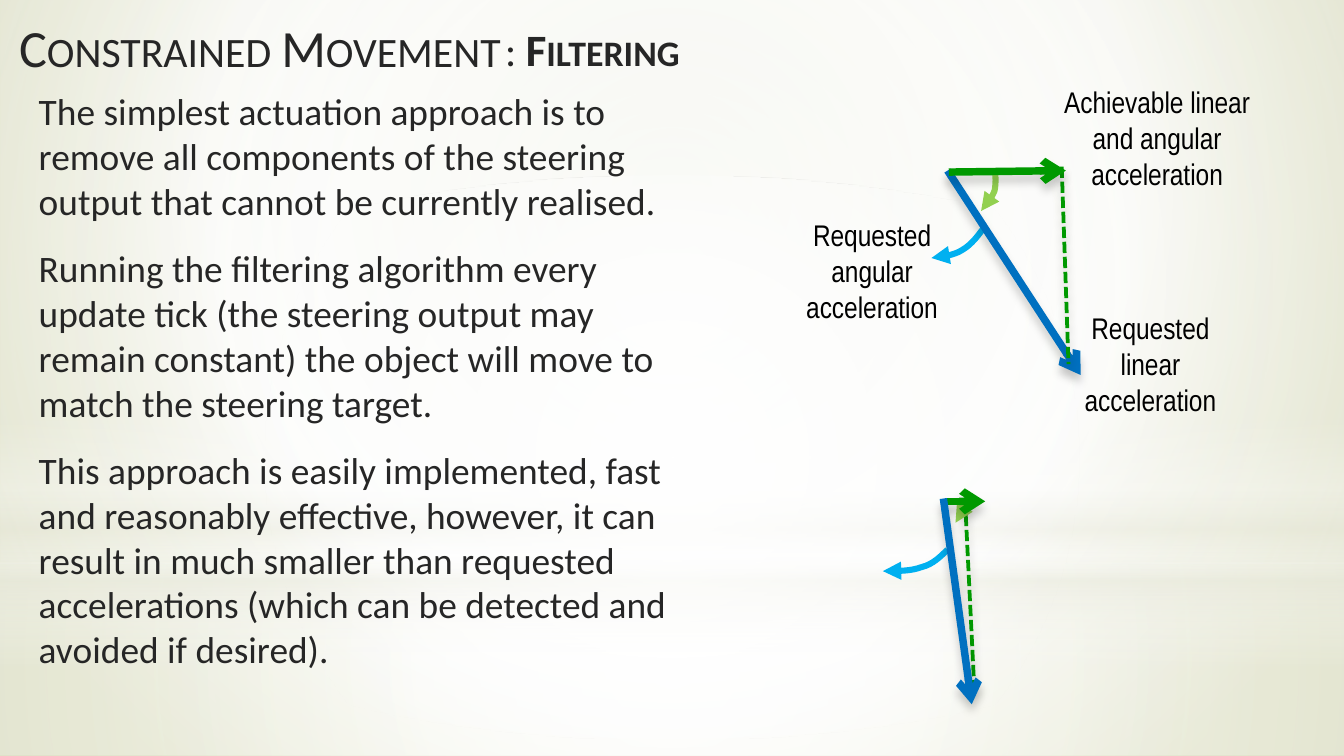
from pptx import Presentation
from pptx.dml.color import RGBColor
from pptx.enum.dml import MSO_LINE
from pptx.enum.shapes import MSO_CONNECTOR, MSO_SHAPE
from pptx.enum.text import MSO_ANCHOR, MSO_AUTO_SIZE, PP_ALIGN
from pptx.oxml import parse_xml
from pptx.oxml.ns import nsdecls, qn
from pptx.util import Pt

colour = RGBColor.from_string
INK, BLUE, SKY, GREEN, LIME = "262626", "0070C0", "00B0F0", "009900", "92D050"


def write(para, text, size=20, font="Calibri", tint=INK, bold=False, caps=False):
    span = para.add_run()
    span.text = text
    span.font.size = Pt(size)
    span.font.name = font
    span.font.bold = bold
    span.font.color.rgb = colour(tint)
    if caps:
        span.font._element.set("cap", "small")


def paint_gradient(properties, stops, focus):
    marks = "".join(
        f'<a:gs pos="{place * 1000}"><a:srgbClr val="{tint}"><a:alpha val="{alpha * 1000}"/></a:srgbClr></a:gs>'
        for place, tint, alpha in stops)
    direction = '<a:lin ang="5400000" scaled="0"/>'
    if focus:
        edges = " ".join(f'{side}="{part * 1000}"' for side, part in zip("ltrb", focus))
        direction = f'<a:path path="circle"><a:fillToRect {edges}/></a:path>'
    gradient = parse_xml(f'<a:gradFill {nsdecls("a")} rotWithShape="1"><a:gsLst>{marks}</a:gsLst>{direction}</a:gradFill>')
    properties.replace(properties.find(qn("a:solidFill")), gradient)


deck = Presentation()
deck.slide_width, deck.slide_height = Pt(720), Pt(405)
page = deck.slides.add_slide(deck.slide_layouts[5])

page.background.fill.solid()
paint_gradient(page.element.find(".//" + qn("p:bgPr")),
               [(0, "E3E5D1", 100), (60, "FFFFFF", 100), (100, "CCD09F", 100)], (20, 10, 20, 60))

centre = (50, 50, 50, 50)
backdrops = [
    (MSO_SHAPE.RECTANGLE, 301.7, 103.3, centre,
     [(0, "FFFFFF", 91), (37, "FFFFFF", 76), (100, "EAEBDE", 79)]),
    (MSO_SHAPE.RECTANGLE, 0, 301.7, centre,
     [(0, "FFFFFF", 89), (48, "FFFFFF", 62), (100, "EAEBDE", 79)]),
    (MSO_SHAPE.RECTANGLE, 222.5, 135.4, None,
     [(0, "FFFFFF", 0), (29, "FFFFFF", 30), (45, "EAEBDE", 40),
      (55, "FFFFFF", 26), (65, "EAEBDE", 60), (100, "FFFFFF", 0)]),
    (MSO_SHAPE.OVAL, 94.3, 301.7, centre, [(0, "FFFFFF", 100), (56, "FFFFFF", 0)]),
]
for preset, top, height, focus, stops in backdrops:
    panel = page.shapes.add_shape(preset, 0, Pt(top), Pt(720), Pt(height))
    panel.shadow.inherit = False
    panel.line.fill.background()
    panel.fill.solid()
    paint_gradient(panel.element.spPr, stops, focus)

title = page.shapes.title
title.element.getparent().append(title.element)
title.left, title.top, title.width, title.height = Pt(3), Pt(4.3), Pt(306), Pt(45.4)
subtitle = page.shapes.add_textbox(Pt(263.5), Pt(4.3), Pt(306), Pt(45.4))
for box in (title, subtitle):
    box.text_frame.word_wrap = True
    box.text_frame.auto_size = MSO_AUTO_SIZE.NONE
    box.text_frame.vertical_anchor = MSO_ANCHOR.TOP
    box.text_frame.paragraphs[0].alignment = PP_ALIGN.LEFT
write(title.text_frame.paragraphs[0], "Constrained Movement", size=28, caps=True)
write(subtitle.text_frame.paragraphs[0], ": ", size=28, caps=True)
write(subtitle.text_frame.paragraphs[0], "Filtering", size=24, bold=True, caps=True)

body = page.shapes.add_textbox(Pt(13.7), Pt(43.9), Pt(350.6), Pt(322.6)).text_frame
body.word_wrap = True
points = [
    "The simplest actuation approach is to remove all components of the steering output that cannot be currently realised.",
    "Running the filtering algorithm every update tick (the steering output may remain constant) the object will move to match the steering target.",
    "This approach is easily implemented, fast and reasonably effective, however, it can result in much smaller than requested accelerations (which can be detected and avoided if desired).",
]
for index, point in enumerate(points):
    para = body.add_paragraph() if index else body.paragraphs[0]
    if index:
        para.space_before = Pt(12)
    write(para, point)

labels = [
    (564.5, 162, 103.7, ["Requested", "linear acceleration"]),
    (415.4, 112.3, 103.7, ["Requested", "angular acceleration"]),
    (550.8, 41, 138.2, ["Achievable linear and angular acceleration"]),
]
for left, top, width, lines in labels:
    frame = page.shapes.add_textbox(Pt(left), Pt(top), Pt(width), Pt(65.5)).text_frame
    frame.word_wrap = True
    frame.vertical_anchor = MSO_ANCHOR.MIDDLE
    for index, line in enumerate(lines):
        para = frame.add_paragraph() if index else frame.paragraphs[0]
        para.alignment = PP_ALIGN.CENTER
        write(para, line, size=16, font="Arial Narrow", tint="000000")

strokes = [
    (SKY, 3.25, "triangle", [(527.8, 121), (524.2, 126), (520.6, 131), (515.5, 133.9),
                             (511.2, 136.8), (504.7, 137.5), (499, 138.2)]),
    (BLUE, 4, "arrow", [(507.6, 91.4), (578.9, 200.9)]),
    (GREEN, 2, None, [(568.8, 89.3), (572.4, 195.1)]),
    (LIME, 3.25, "triangle", [(532.8, 90.7), (533.5, 94.3), (533.5, 98.6), (532.8, 102.2),
                              (531.4, 105.8), (528.5, 109.4), (525.6, 113)]),
    (GREEN, 4, "arrow", [(508.3, 92.2), (571, 91.4)]),
    (GREEN, 2, None, [(517, 267.8), (522, 370.1)]),
    (SKY, 3.25, "triangle", [(507.6, 294.5), (504, 298.1), (499.7, 302.4), (493.9, 303.8),
                             (488.2, 306), (481, 306), (473, 306)]),
    (LIME, 3.25, "triangle", [(517, 267.8), (517, 270), (517, 272.2), (516.2, 274.3),
                              (515.5, 276.5), (513.4, 277.9), (511.9, 280.1)]),
    (GREEN, 4, "arrow", [(506.2, 268.6), (527.8, 268.6)]),
    (BLUE, 4, "arrow", [(505.4, 267.1), (520.6, 377.3)]),
]
steps = 8
for tint, weight, head, knots in strokes:
    if len(knots) == 2:
        (x1, y1), (x2, y2) = knots
        stroke = page.shapes.add_connector(MSO_CONNECTOR.STRAIGHT, Pt(x1), Pt(y1), Pt(x2), Pt(y2))
        stroke.element.spPr.append(parse_xml(
            f'<a:effectLst {nsdecls("a")}><a:outerShdw blurRad="{Pt(5)}" dist="{Pt(4)}" dir="5400000">'
            '<a:srgbClr val="000000"><a:alpha val="20000"/></a:srgbClr></a:outerShdw></a:effectLst>'))
    else:
        curve = []
        for start in (0, 3):
            for step in range(1, steps + 1):
                t = step / steps
                weights = ((1 - t) ** 3, 3 * t * (1 - t) ** 2, 3 * t ** 2 * (1 - t), t ** 3)
                curve.append(tuple(
                    Pt(sum(share * knot[axis] for share, knot in zip(weights, knots[start:start + 4])))
                    for axis in (0, 1)))
        builder = page.shapes.build_freeform(Pt(knots[0][0]), Pt(knots[0][1]))
        builder.add_line_segments(curve, close=False)
        stroke = builder.convert_to_shape()
        stroke.shadow.inherit = False
        stroke.fill.background()
    stroke.line.color.rgb = colour(tint)
    stroke.line.width = Pt(weight)
    if head:
        stroke.line._get_or_add_ln().append(parse_xml(f'<a:tailEnd {nsdecls("a")} type="{head}"/>'))
    else:
        stroke.line.dash_style = MSO_LINE.SQUARE_DOT

deck.save("out.pptx")
